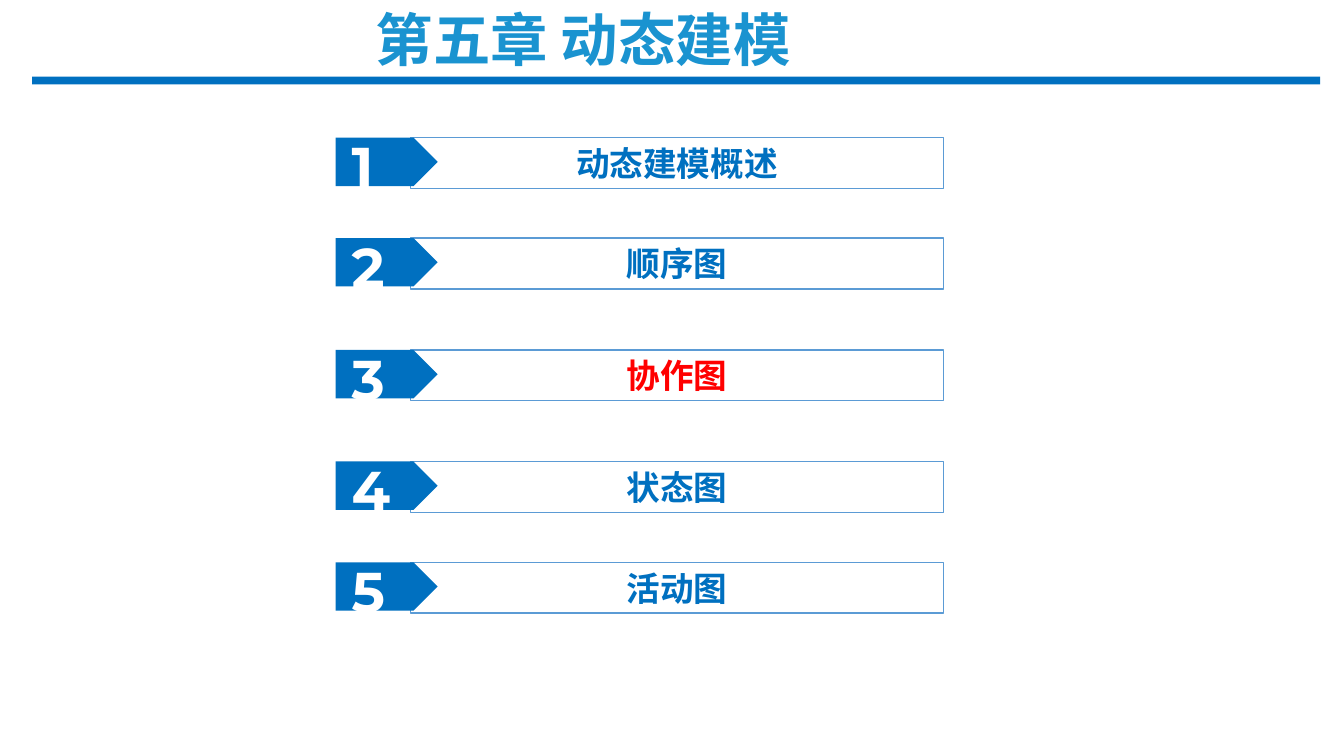
from lxml import etree
from pptx import Presentation
from pptx.dml.color import RGBColor
from pptx.enum.shapes import MSO_SHAPE
from pptx.enum.text import MSO_ANCHOR, MSO_AUTO_SIZE, PP_ALIGN
from pptx.oxml.ns import qn
from pptx.util import Cm, Pt

RECT, PENTAGON = MSO_SHAPE.RECTANGLE, MSO_SHAPE.PENTAGON
TOP, MIDDLE = MSO_ANCHOR.TOP, MSO_ANCHOR.MIDDLE
LEFT, CENTER = PP_ALIGN.LEFT, PP_ALIGN.CENTER
FIT_SHAPE = MSO_AUTO_SIZE.SHAPE_TO_FIT_TEXT

BLUE = RGBColor(0x00, 0x70, 0xC0)
TITLE_BLUE = RGBColor(0x1A, 0x93, 0xD0)
BORDER = RGBColor(0x5B, 0x9B, 0xD5)
RED = RGBColor(0xFF, 0x00, 0x00)
WHITE = RGBColor(0xFF, 0xFF, 0xFF)

CJK_FONT, DIGIT_FONT = "Noto Sans CJK SC", "Montserrat"

CHAPTERS = [
    (3.47, "动态建模概述", BLUE),
    (6.0, "顺序图", BLUE),
    (8.82, "协作图", RED),
    (11.63, "状态图", BLUE),
    (14.17, "活动图", BLUE),
]


class Deck:
    def __init__(self):
        self.prs = Presentation()
        self.prs.slide_width, self.prs.slide_height = Cm(33.87), Cm(19.05)
        self.s = self.prs.slides.add_slide(self.prs.slide_layouts[6])

    def shape(self, kind, x, y, w, h, fill, line=None, parent=None):
        shapes = (parent or self.s).shapes
        sp = shapes.add_shape(kind, Cm(x), Cm(y), Cm(w), Cm(h))
        sp.shadow.inherit = False
        sp.fill.solid()
        sp.fill.fore_color.rgb = fill
        if line is None:
            sp.line.fill.background()
        else:
            sp.line.color.rgb = line
            sp.line.width = Pt(1)
        return sp

    def text(self, sp, text, size, color, font, align, anchor, wrap=True):
        tf = sp.text_frame
        tf.word_wrap = wrap
        tf.vertical_anchor = anchor
        p = tf.paragraphs[0]
        p.text = text
        p.alignment = align
        p.font.size = Pt(size)
        p.font.bold = True
        p.font.color.rgb = color
        p.font.name = font
        latin = p._p.find(".//" + qn("a:latin"))
        latin.addnext(etree.Element(qn("a:ea"), typeface=font))
        return tf

    def title(self, text):
        sp = self.s.shapes.add_textbox(Cm(9.27), Cm(0), Cm(15.44), Cm(1.96))
        tf = self.text(sp, text, 41, TITLE_BLUE, CJK_FONT, LEFT, MIDDLE)
        tf.margin_left = tf.margin_right = Cm(0.2)
        tf.margin_top = tf.margin_bottom = Cm(0.1)

    def chapter(self, number, y, name, color):
        sp = self.shape(RECT, 10.34, y, 13.44, 1.28, WHITE, BORDER)
        self.text(sp, name, 24, color, CJK_FONT, CENTER, MIDDLE)
        badge = self.s.shapes.add_group_shape()
        self.shape(PENTAGON, 8.46, y, 2.57, 1.22, BLUE, parent=badge)
        sp = badge.shapes.add_textbox(Cm(8.61), Cm(y - 0.27), Cm(1.45), Cm(1.96))
        tf = self.text(sp, str(number), 40, WHITE, DIGIT_FONT, LEFT, TOP, wrap=False)
        tf.auto_size = FIT_SHAPE


def main():
    deck = Deck()
    deck.shape(RECT, 0.81, 1.93, 32.46, 0.2, BLUE)
    for number, (y, name, color) in enumerate(CHAPTERS, 1):
        deck.chapter(number, y, name, color)
    deck.title("第五章 动态建模")
    deck.prs.save("out.pptx")


if __name__ == "__main__":
    main()
